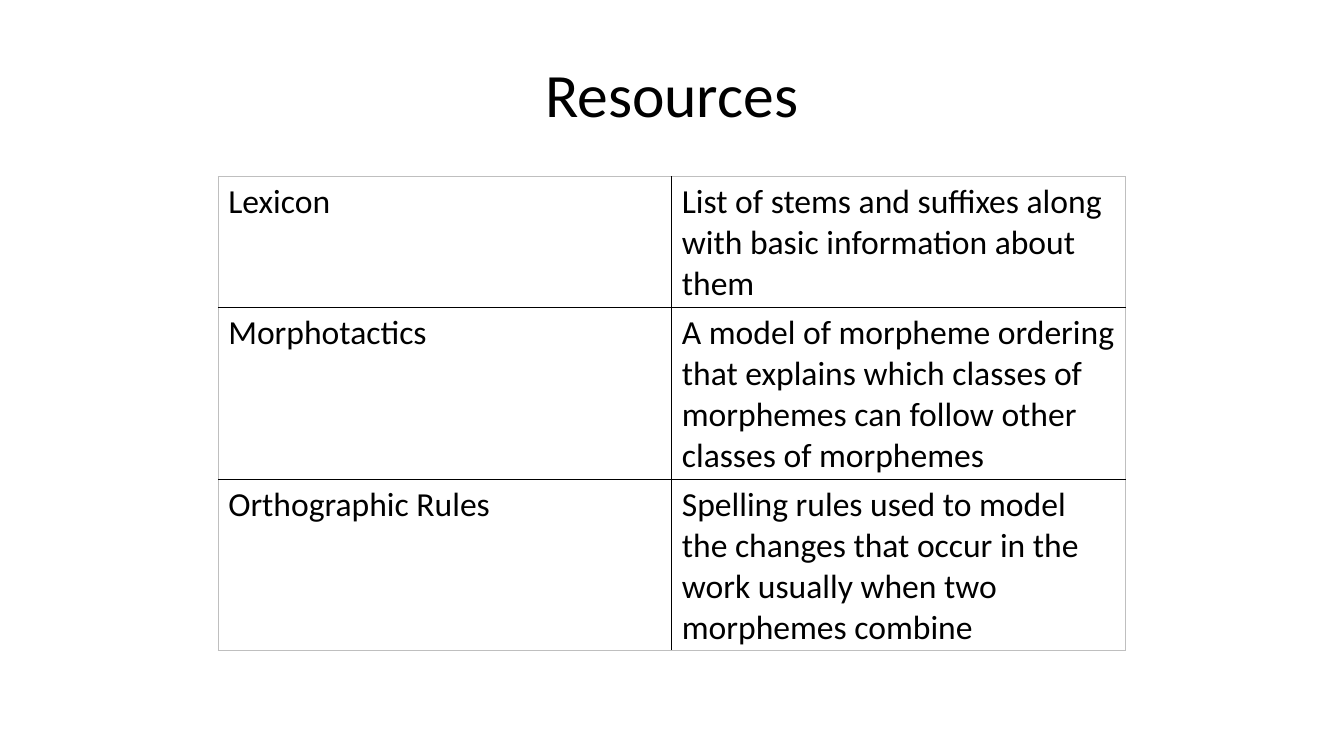
from lxml import etree
from pptx import Presentation
from pptx import util as u
from pptx.dml.color import RGBColor
from pptx.enum import text
from pptx.oxml import ns

BLACK = RGBColor(0x00, 0x00, 0x00)
GREY = RGBColor(0xBF, 0xBF, 0xBF)

RESOURCES = [
    ("Lexicon",
     "List of stems and suffixes along with basic information about them"),
    ("Morphotactics",
     "A model of morpheme ordering that explains which classes of morphemes "
     "can follow other classes of morphemes"),
    ("Orthographic Rules",
     "Spelling rules used to model the changes that occur in the work usually "
     "when two morphemes combine"),
]
ROW_HEIGHTS = [3.3, 4.32, 4.32]


class SlideBuilder:
    """Holds the text style and the slide being built."""

    font_name = "Calibri"
    inner_border = (BLACK, 1)
    outer_border = (GREY, 0.5)

    def __init__(self, slide):
        self.slide = slide

    def style(self, text_frame, size):
        for paragraph in text_frame.paragraphs:
            for run in paragraph.runs:
                run.font.name = self.font_name
                run.font.size = u.Pt(size)
                run.font.color.rgb = BLACK

    def title(self, words, left, top, width, height):
        box = self.slide.shapes.add_textbox(
            u.Cm(left), u.Cm(top), u.Cm(width), u.Cm(height))
        frame = box.text_frame
        frame.word_wrap = True
        frame.vertical_anchor = text.MSO_ANCHOR.MIDDLE
        frame.text = words
        frame.paragraphs[0].alignment = text.PP_ALIGN.CENTER
        self.style(frame, 44)

    def borders(self, cell, outer_sides):
        properties = cell._tc.get_or_add_tcPr()
        for index, side in enumerate("LRTB"):
            color, width = (self.outer_border if side in outer_sides
                            else self.inner_border)
            line = etree.Element(ns.qn(f"a:ln{side}"), w=str(u.Pt(width)))
            fill = etree.SubElement(line, ns.qn("a:solidFill"))
            etree.SubElement(fill, ns.qn("a:srgbClr"), val=str(color))
            properties.insert(index, line)

    def table(self, rows, heights, left, top, width):
        columns = len(rows[0])
        table = self.slide.shapes.add_table(
            len(rows), columns, u.Cm(left), u.Cm(top),
            u.Cm(width), u.Cm(sum(heights))).table
        table.first_row = False
        table.horz_banding = False
        for row_index, (words, height) in enumerate(zip(rows, heights)):
            table.rows[row_index].height = u.Cm(height)
            for column_index, word in enumerate(words):
                cell = table.cell(row_index, column_index)
                cell.text_frame.text = word
                self.style(cell.text_frame, 24)
                cell.fill.background()
                edges = {"L": column_index == 0,
                         "R": column_index == columns - 1,
                         "T": row_index == 0,
                         "B": row_index == len(rows) - 1}
                self.borders(cell, [side for side in edges if edges[side]])


def main():
    presentation = Presentation()
    presentation.slide_width = u.Cm(33.87)
    presentation.slide_height = u.Cm(19.05)
    slide = presentation.slides.add_slide(presentation.slide_layouts[6])
    builder = SlideBuilder(slide)

    # Heading
    builder.title("Resources", 1.69, 0.76, 30.48, 3.18)

    # Resource names and their meanings
    builder.table(RESOURCES, ROW_HEIGHTS, 5.5, 4.45, 22.86)

    presentation.save("out.pptx")


if __name__ == "__main__":
    main()
